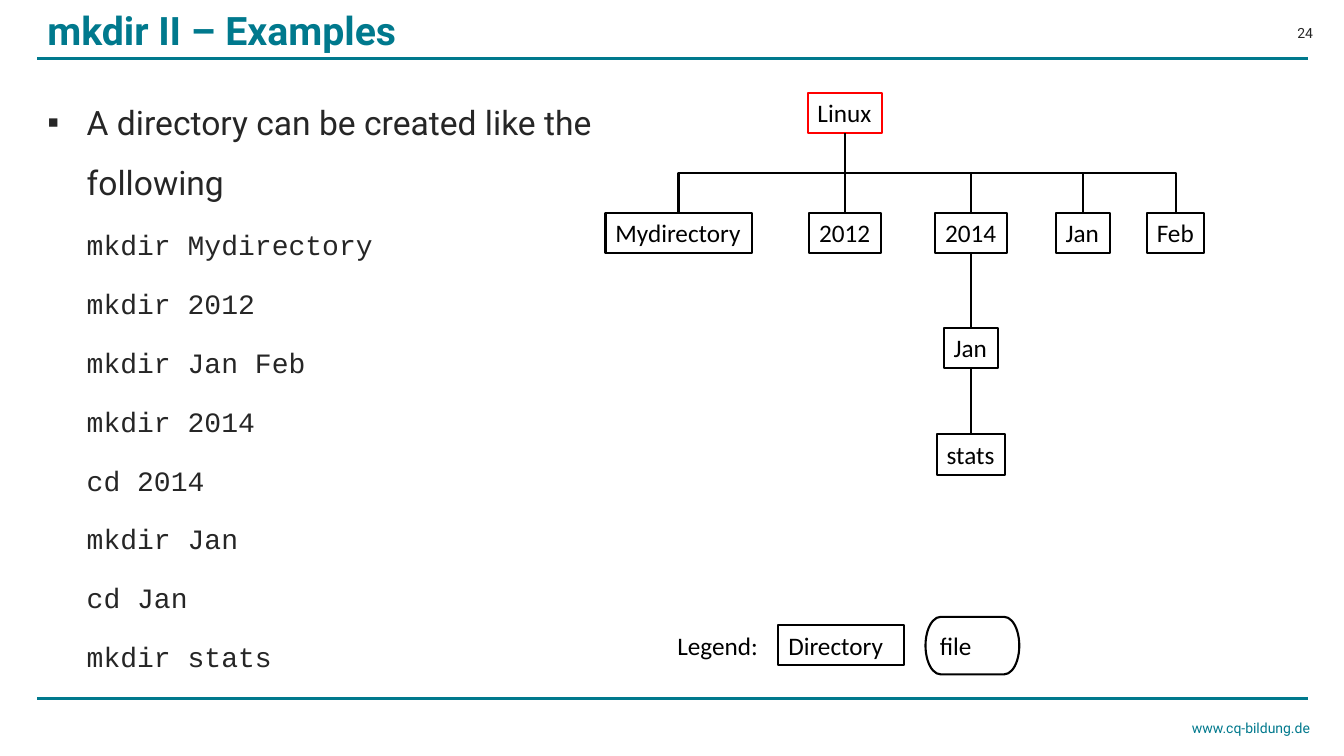
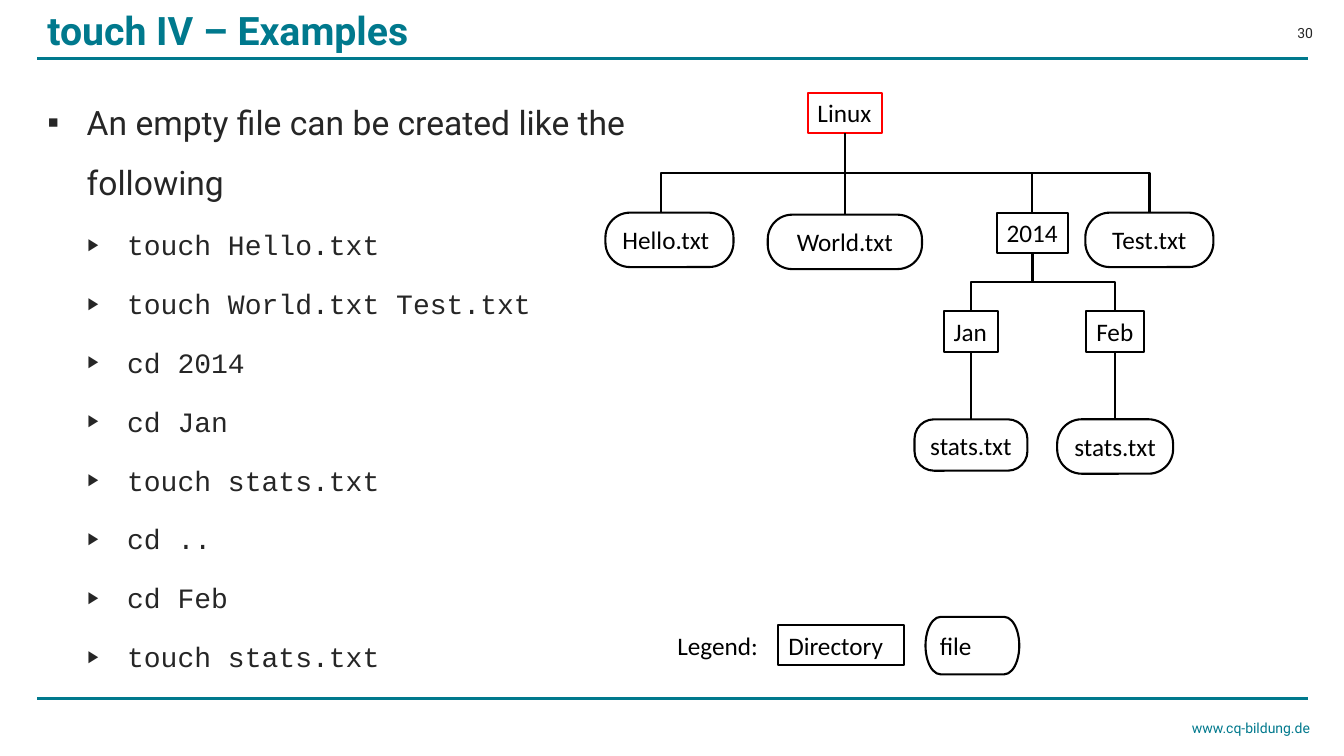
import dataclasses
import pptx
import pptx.util
import pptx.dml.color
import pptx.enum.shapes
import pptx.enum.text
import pptx.oxml.ns
import lxml.etree

Inches = pptx.util.Inches
Pt = pptx.util.Pt
Kind = pptx.enum.shapes.MSO_SHAPE
Wire = pptx.enum.shapes.MSO_CONNECTOR
Align = pptx.enum.text.PP_ALIGN
Anchor = pptx.enum.text.MSO_ANCHOR
Fit = pptx.enum.text.MSO_AUTO_SIZE
qn = pptx.oxml.ns.qn


@dataclasses.dataclass(frozen=True)
class Theme:
    teal: str = "00798D"
    dark: str = "262626"
    black: str = "000000"
    white: str = "FFFFFF"
    red: str = "FF0000"
    sans: str = "Roboto"
    mono: str = "Courier New"
    label: str = "Calibri"
    title: int = 28
    lead: int = 24
    code: int = 20
    node: int = 18
    small: int = 10
    rule: float = 2
    edge: float = 1.5


THEME = Theme()


def tint(code):
    return pptx.dml.color.RGBColor.from_string(code)


def style(para, face, size, color, bold=False):
    font = para.font
    font.name, font.size, font.bold = face, Pt(size), bold
    font.color.rgb = tint(color)


def place(shape, left, top, width, height):
    shape.left, shape.top = Inches(left), Inches(top)
    shape.width, shape.height = Inches(width), Inches(height)


def draw(line, color, width):
    line.line.color.rgb = tint(color)
    line.line.width = Pt(width)
    lxml.etree.SubElement(line._element.spPr, qn("a:effectLst"))


def add_rule(slide, top):
    line = slide.shapes.add_connector(
        Wire.STRAIGHT, Inches(0.37), Inches(top), Inches(12.97), Inches(top))
    draw(line, THEME.teal, THEME.rule)


def add_note(slide, text, box, color):
    frame = slide.shapes.add_textbox(*map(Inches, box)).text_frame
    frame.word_wrap = True
    frame.vertical_anchor = Anchor.MIDDLE
    para = frame.paragraphs[0]
    para.text = text
    para.alignment = Align.RIGHT
    style(para, THEME.sans, THEME.small, color)


def add_frame(deck, title, number):
    slide = deck.slides.add_slide(deck.slide_layouts[1])
    for top in (0.58, 6.93):
        add_rule(slide, top)
    add_note(slide, "www.cq-bildung.de", (11.1, 7.09, 1.99, 0.27), THEME.teal)
    add_note(slide, number, (12.44, 0.2, 0.68, 0.26), THEME.dark)
    head = slide.shapes.title
    place(head, 0.37, 0.06, 11.44, 0.47)
    frame = head.text_frame
    frame.auto_size = Fit.NONE
    frame.vertical_anchor = Anchor.MIDDLE
    para = frame.paragraphs[0]
    para.text = title
    para.alignment = Align.LEFT
    style(para, THEME.sans, THEME.title, THEME.teal, True)
    return slide


def set_mark(para, margin, hang, mark=None, scale=100):
    props = para._p.get_or_add_pPr()
    props.set("marL", str(Inches(margin)))
    props.set("indent", str(-Inches(hang)))
    if mark:
        lxml.etree.SubElement(props, qn("a:buSzPct"), val=str(scale * 1000))
        lxml.etree.SubElement(props, qn("a:buChar"), char=mark)
    else:
        lxml.etree.SubElement(props, qn("a:buNone"))


def add_list(slide, lead, steps, mark=None):
    body = slide.placeholders[1]
    place(body, 0.37, 0.76, 6.19, 6.14)
    frame = body.text_frame
    frame.auto_size = Fit.NONE
    first = frame.paragraphs[0]
    first.text = lead
    set_mark(first, 0.39, 0.39, "▪")
    first.line_spacing = 1.5
    first.space_before = Pt(0)
    style(first, THEME.sans, THEME.lead, THEME.dark)
    for step in steps:
        para = frame.add_paragraph()
        para.text = step
        para.level = 1
        if mark:
            set_mark(para, 0.79, 0.39, mark, 60)
        else:
            set_mark(para, 0.39, 0)
        para.line_spacing = 1.5
        para.space_before = Pt(6)
        style(para, THEME.mono, THEME.code, THEME.dark)


def add_label(frame, text, align=Align.LEFT, wrap=False):
    frame.word_wrap = wrap
    frame.auto_size = Fit.SHAPE_TO_FIT_TEXT
    frame.vertical_anchor = Anchor.TOP
    para = frame.paragraphs[0]
    para.text = text
    para.alignment = align
    style(para, THEME.label, THEME.node, THEME.black)


def add_box(slide, kind, text, box, color=THEME.black, align=Align.LEFT, wrap=False):
    shape = slide.shapes.add_shape(kind, *map(Inches, box))
    shape.shadow.inherit = False
    shape.fill.background()
    shape.line.color.rgb = tint(color)
    shape.line.width = Pt(THEME.edge)
    add_label(shape.text_frame, text, align, wrap)
    return shape


def add_dir(slide, text, mid, top, width, color=THEME.black):
    box = (mid - width / 2, top, width, 0.4)
    return add_box(slide, Kind.RECTANGLE, text, box, color)


def add_file(slide, text, mid, top, width, height=0.54, curve=0.45,
             align=Align.CENTER, wrap=True):
    box = (mid - width / 2, top, width, height)
    shape = add_box(slide, Kind.ROUNDED_RECTANGLE, text, box, align=align, wrap=wrap)
    shape.adjustments[0] = curve
    return shape


def bend(line, start, end):
    across, down = end[0] - start[0], end[1] - start[1]
    line.width, line.height = down, abs(across)
    line.left = (start[0] + end[0] - down) // 2
    line.top = (start[1] + end[1] - abs(across)) // 2
    form = line._element.spPr.find(qn("a:xfrm"))
    for flip in ("flipH", "flipV"):
        form.attrib.pop(flip, None)
    form.set("rot", "5400000" if across < 0 else "16200000")
    if across > 0:
        form.set("flipH", "1")


def link(slide, top, low, mid=None):
    start = (top.left + top.width // 2, top.top + top.height)
    end = (Inches(mid) if mid else low.left + low.width // 2, low.top)
    plain = abs(start[0] - end[0]) < Inches(0.01)
    kind = Wire.STRAIGHT if plain else Wire.ELBOW
    line = slide.shapes.add_connector(kind, *start, *end)
    line.begin_connect(top, 2)
    if mid is None:
        line.end_connect(low, 0)
    if not plain:
        bend(line, start, end)
    draw(line, THEME.black, THEME.edge)


def add_root(slide):
    return add_dir(slide, "Linux", 8.38, 0.92, 0.74, THEME.red)


def add_key(slide):
    note = slide.shapes.add_textbox(*map(Inches, (6.62, 6.2, 1.01, 0.4)))
    add_label(note.text_frame, "Legend:")
    sample = add_box(slide, Kind.RECTANGLE, "Directory", (7.72, 6.2, 1.25, 0.4), wrap=True)
    sample.fill.solid()
    sample.fill.fore_color.rgb = tint(THEME.white)
    add_box(slide, Kind.FLOWCHART_TERMINATOR, "file", (9.18, 6.12, 0.93, 0.57), wrap=True)


def make_dirs(deck):
    slide = add_frame(deck, "mkdir II – Examples", "24")
    add_list(slide, "A directory can be created like the following", (
        "mkdir Mydirectory", "mkdir 2012", "mkdir Jan Feb", "mkdir 2014",
        "cd 2014", "mkdir Jan", "cd Jan", "mkdir stats"))
    root = add_root(slide)
    row = {}
    for text, mid, width in (
            ("Mydirectory", 6.73, 1.45), ("2012", 8.38, 0.71),
            ("2014", 9.63, 0.71), ("Jan", 10.74, 0.54), ("Feb", 11.66, 0.57)):
        row[text] = add_dir(slide, text, mid, 2.11, width)
        link(slide, root, row[text])
    month = add_dir(slide, "Jan", 9.63, 3.25, 0.54)
    stats = add_dir(slide, "stats", 9.63, 4.31, 0.68)
    link(slide, row["2014"], month)
    link(slide, month, stats)
    add_key(slide)


def make_files(deck):
    slide = add_frame(deck, "touch IV – Examples", "30")
    add_list(slide, "An empty file can be created like the following", (
        "touch Hello.txt", "touch World.txt Test.txt", "cd 2014", "cd Jan",
        "touch stats.txt", "cd ..", "cd Feb", "touch stats.txt"), "▶")
    root = add_root(slide)
    hello = add_file(slide, "Hello.txt", 6.64, 2.11, 1.27, align=Align.LEFT)
    link(slide, root, hello, 6.56)
    year = add_dir(slide, "2014", 10.24, 2.11, 0.71)
    world = add_file(slide, "World.txt", 8.38, 2.13, 1.53)
    test = add_file(slide, "Test.txt", 11.4, 2.11, 1.27)
    for child in (world, year, test):
        link(slide, root, child)
    for text, mid, width, span, height, curve in (
            ("Jan", 9.63, 0.54, 1.12, 0.51, 0.38),
            ("Feb", 11.06, 0.57, 1.15, 0.54, 0.45)):
        month = add_dir(slide, text, mid, 3.09, width)
        stats = add_file(slide, "stats.txt", mid, 4.16, span, height, curve, wrap=False)
        link(slide, year, month)
        link(slide, month, stats)
    add_key(slide)


def main():
    deck = pptx.Presentation()
    deck.slide_width, deck.slide_height = Inches(13.33), Inches(7.5)
    make_dirs(deck)
    make_files(deck)
    deck.save("out.pptx")


if __name__ == "__main__":
    main()
